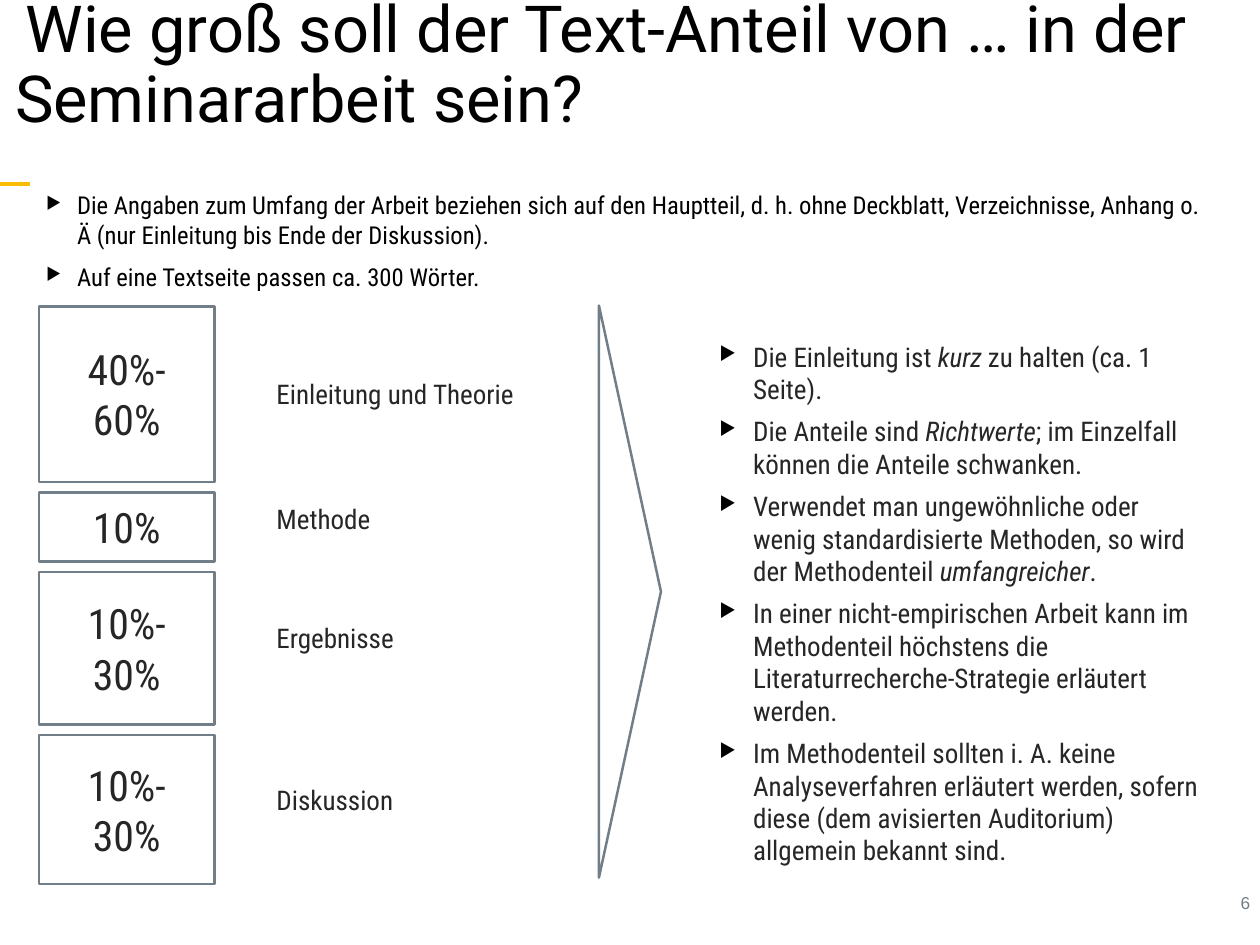
from pptx import Presentation
from pptx.dml.color import RGBColor as RGB
from pptx.enum.shapes import MSO_CONNECTOR as CONNECTOR, MSO_SHAPE as SHAPE
from pptx.enum.text import MSO_ANCHOR as ANCHOR, MSO_AUTO_SIZE as AUTO, PP_ALIGN as ALIGN
from pptx.oxml.ns import qn
from pptx.util import Pt
from lxml.etree import SubElement

PX = 9144
COLORS = {"black": "000000", "dark": "262626", "gray": "717D87",
          "yellow": "F7BC05", "white": "FFFFFF"}
CONDENSED = "Roboto Condensed"


def write(shape, paragraphs, size, color, name=CONDENSED, inset=7, indent=None,
          bullet=None, frame_format=None, para_format=None):
    frame = shape.text_frame
    settings = {"word_wrap": True, "auto_size": AUTO.NONE, "vertical_anchor": ANCHOR.TOP}
    settings.update(frame_format or {})
    for side in ("left", "top", "right", "bottom"):
        settings["margin_" + side] = inset * PX
    for key, value in settings.items():
        setattr(frame, key, value)
    for number, text in enumerate(paragraphs):
        para = frame.add_paragraph() if number else frame.paragraphs[0]
        for key, value in (para_format or {}).items():
            setattr(para, key, value)
        properties = para._p.get_or_add_pPr()
        if indent:
            properties.set("marL", str(indent[0] * PX))
            properties.set("indent", str(indent[1] * PX))
        if bullet:
            bullet_color = SubElement(properties, qn("a:buClr"))
            SubElement(bullet_color, qn("a:srgbClr"), val=COLORS["black"])
            SubElement(properties, qn("a:buSzPct"), val="70000")
            SubElement(properties, qn("a:buChar"), char=bullet)
        for row, line in enumerate(text.split("\n")):
            if row:
                para.add_line_break()
            for part, words in enumerate(line.split("*")):
                span = para.add_run()
                span.text = words
                span.font.color.rgb = RGB.from_string(COLORS[color])
                font_format = {"name": name, "size": Pt(size), "italic": part % 2 == 1}
                for key, value in font_format.items():
                    setattr(span.font, key, value)


def outline(shape):
    shape.shadow.inherit = False
    shape.fill.solid()
    shape.fill.fore_color.rgb = RGB.from_string(COLORS["white"])
    shape.line.color.rgb = RGB.from_string(COLORS["gray"])
    shape.line.width = Pt(2)


deck = Presentation()
deck.slide_width, deck.slide_height = 1422 * PX, 1067 * PX
page = deck.slides.add_slide(deck.slide_layouts[6])
shapes = page.shapes

accent = shapes.add_connector(CONNECTOR.STRAIGHT, 0, 208 * PX, 34 * PX, 208 * PX)
accent.line.color.rgb = RGB.from_string(COLORS["yellow"])
accent.line.width = Pt(3)
SubElement(accent._element.spPr, qn("a:effectLst"))

page_number = shapes.add_textbox(1181 * PX, 1000 * PX, 237 * PX, 36 * PX)
write(page_number, ["6"], 14, "gray", name="Arial", para_format={"alignment": ALIGN.RIGHT})

title = shapes.add_textbox(0, -2 * PX, 1423 * PX, 155 * PX)
write(title, ["Wie groß soll der Text-Anteil von … in der Seminararbeit sein?"],
      52.7, "black", name="Roboto", inset=5, indent=(12, 12),
      frame_format={"vertical_anchor": ANCHOR.MIDDLE}, para_format={"line_spacing": 0.9})

scope = shapes.add_textbox(31 * PX, 208 * PX, 1340 * PX, 694 * PX)
write(scope, [
    "Die Angaben zum Umfang der Arbeit beziehen sich auf den Hauptteil, d. h. ohne Deckblatt, "
    "Verzeichnisse, Anhang o. Ä (nur Einleitung bis Ende der Diskussion).",
    "Auf eine Textseite passen ca. 300 Wörter.",
], 20, "black", indent=(49, -35), bullet="▶︎", para_format={"space_before": Pt(10)})

sections = [
    ("40%-\n60%", 198, "Einleitung und Theorie", 284, 420),
    ("10%", 78, "Methode", 122, 561),
    ("10%-\n30%", 172, "Ergebnisse", 148, 696),
    ("10%-\n30%", 168, "Diskussion", 147, 878),
]
top = 346
for share, height, label, label_width, label_top in sections:
    box = shapes.add_shape(SHAPE.RECTANGLE, 44 * PX, top * PX, 198 * PX, height * PX)
    outline(box)
    write(box, [share], 34, "dark", frame_format={"vertical_anchor": ANCHOR.MIDDLE},
          para_format={"alignment": ALIGN.CENTER})
    caption = shapes.add_textbox(305 * PX, label_top * PX, label_width * PX, 49 * PX)
    write(caption, [label], 22, "dark", frame_format={
        "vertical_anchor": ANCHOR.MIDDLE, "word_wrap": False,
        "auto_size": AUTO.SHAPE_TO_FIT_TEXT})
    top += height + 12

notes = shapes.add_textbox(805 * PX, 377 * PX, 554 * PX, 582 * PX)
write(notes, [
    "Die Einleitung ist *kurz* zu halten (ca. 1 Seite).",
    "Die Anteile sind *Richtwerte*; im Einzelfall können die Anteile schwanken.",
    "Verwendet man ungewöhnliche oder wenig standardisierte Methoden, so wird der "
    "Methodenteil *umfangreicher*.",
    "In einer nicht-empirischen Arbeit kann im Methodenteil höchstens die "
    "Literaturrecherche-Strategie erläutert werden.",
    "Im Methodenteil sollten i. A. keine Analyseverfahren erläutert werden, sofern diese "
    "(dem avisierten Auditorium) allgemein bekannt sind.",
], 22, "dark", indent=(38, -38), bullet="▶︎",
    frame_format={"auto_size": AUTO.SHAPE_TO_FIT_TEXT}, para_format={"space_before": Pt(8)})

builder = shapes.build_freeform(746, 668, scale=PX)
builder.add_line_segments([(676, 991), (676, 345)], close=True)
outline(builder.convert_to_shape())

deck.save("out.pptx")
